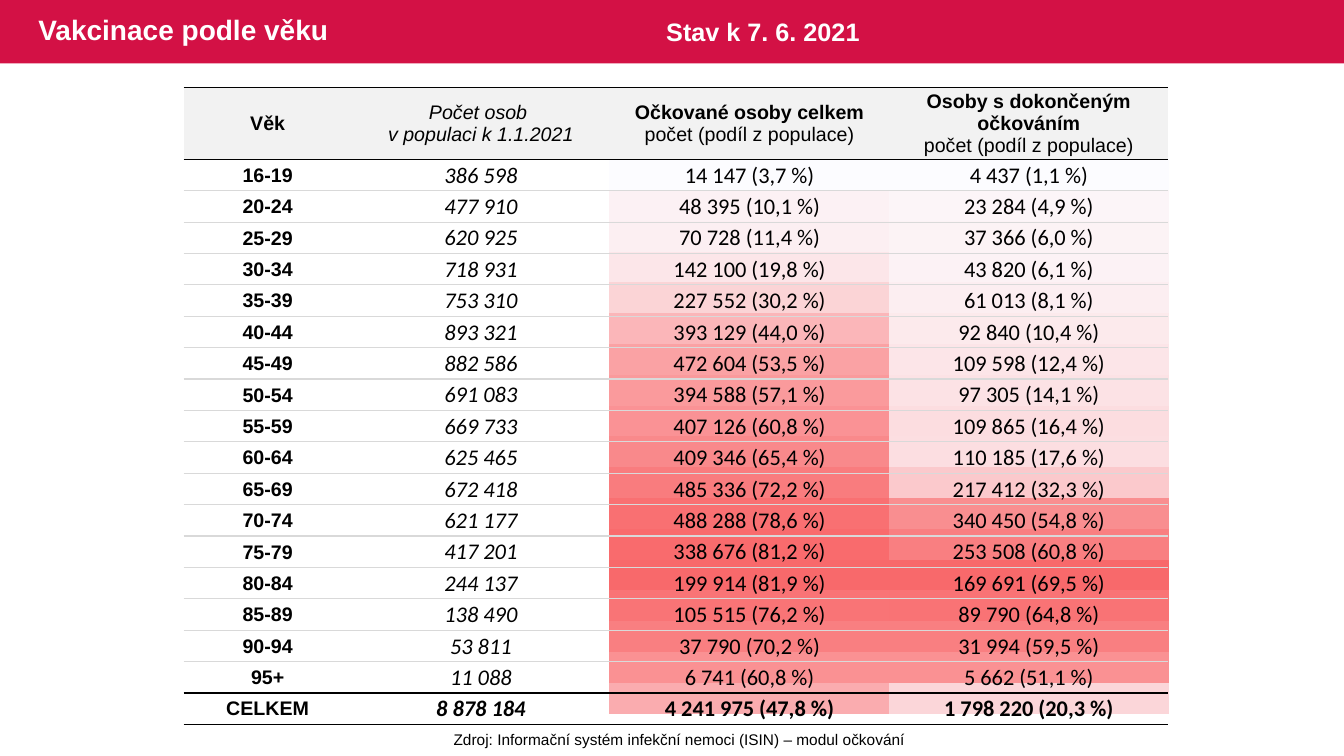
from dataclasses import dataclass

from lxml.etree import SubElement
from pptx import Presentation
from pptx.dml.color import RGBColor
from pptx.enum.shapes import MSO_SHAPE
from pptx.enum.text import MSO_ANCHOR, MSO_AUTO_SIZE, PP_ALIGN
from pptx.oxml.ns import qn
from pptx.util import Inches, Pt


@dataclass(frozen=True)
class Theme:
    band: str = "D31145"
    white: str = "FFFFFF"
    black: str = "000000"
    header: str = "F2F2F2"
    rule: str = "D9D9D9"
    heading_font: str = "Arial"
    number_font: str = "Calibri"
    title_size: int = 20
    date_size: int = 18
    number_size: int = 16
    label_size: int = 14
    source_size: int = 11


theme = Theme()


def style(paragraph, size, color, name=theme.heading_font, bold=False, italic=False):
    font = paragraph.font
    font.size = Pt(size)
    font.name = name
    font.bold = bold
    font.italic = italic
    font.color.rgb = RGBColor.from_string(color)


def format_cell(cell, fill=None, top=None, bottom=None):
    cell.vertical_anchor = MSO_ANCHOR.MIDDLE
    cell.margin_left = cell.margin_right = cell.margin_top = Inches(0.01)
    cell.margin_bottom = 0
    if fill:
        cell.fill.solid()
        cell.fill.fore_color.rgb = RGBColor.from_string(fill)
    else:
        cell.fill.background()
    properties = cell._tc.get_or_add_tcPr()
    borders = [("a:lnL", None), ("a:lnR", None), ("a:lnT", top), ("a:lnB", bottom)]
    for position, (tag, color) in enumerate(borders):
        line = SubElement(properties, qn(tag), w=str(Pt(1)))
        if color:
            line_fill = SubElement(line, qn("a:solidFill"))
            SubElement(line_fill, qn("a:srgbClr"), val=color)
        else:
            SubElement(line, qn("a:noFill"))
        properties.insert(position, line)


headers = [
    [("Věk", True, False)],
    [("Počet osob ", False, True), ("v populaci k 1.1.2021", False, True)],
    [("Očkované osoby celkem", True, False), ("počet (podíl z populace)", False, False)],
    [("Osoby s dokončeným očkováním", True, False), ("počet (podíl z populace)", False, False)],
]
age_groups = [
    ("16-19", "386 598", "14 147 (3,7 %)", "4 437 (1,1 %)", "FCFCFF", "FCFCFF"),
    ("20-24", "477 910", "48 395 (10,1 %)", "23 284 (4,9 %)", "FCF1F4", "FCF5F8"),
    ("25-29", "620 925", "70 728 (11,4 %)", "37 366 (6,0 %)", "FCEFF2", "FCF3F5"),
    ("30-34", "718 931", "142 100 (19,8 %)", "43 820 (6,1 %)", "FCE6E9", "FCF2F5"),
    ("35-39", "753 310", "227 552 (30,2 %)", "61 013 (8,1 %)", "FBD4D6", "FCEEF1"),
    ("40-44", "893 321", "393 129 (44,0 %)", "92 840 (10,4 %)", "FBB6B9", "FCEAEC"),
    ("45-49", "882 586", "472 604 (53,5 %)", "109 598 (12,4 %)", "FAA2A4", "FCE5E8"),
    ("50-54", "691 083", "394 588 (57,1 %)", "97 305 (14,1 %)", "FA9A9C", "FCE2E5"),
    ("55-59", "669 733", "407 126 (60,8 %)", "109 865 (16,4 %)", "FA9295", "FCDDE0"),
    ("60-64", "625 465", "409 346 (65,4 %)", "110 185 (17,6 %)", "F9898B", "FCDEE1"),
    ("65-69", "672 418", "485 336 (72,2 %)", "217 412 (32,3 %)", "F97C7E", "FBC9CC"),
    ("70-74", "621 177", "488 288 (78,6 %)", "340 450 (54,8 %)", "F97072", "F98E90"),
    ("75-79", "417 201", "338 676 (81,2 %)", "253 508 (60,8 %)", "F96B6D", "F97F81"),
    ("80-84", "244 137", "199 914 (81,9 %)", "169 691 (69,5 %)", "F8696B", "F8696B"),
    ("85-89", "138 490", "105 515 (76,2 %)", "89 790 (64,8 %)", "F97476", "F97375"),
    ("90-94", "53 811", "37 790 (70,2 %)", "31 994 (59,5 %)", "F97F81", "F97F81"),
    ("95+", "11 088", "6 741 (60,8 %)", "5 662 (51,1 %)", "FA9193", "FA9193"),
    ("CELKEM", "8 878 184", "4 241 975 (47,8 %)", "1 798 220 (20,3 %)", "FAACAF", "FBD6D9"),
]

presentation = Presentation()
presentation.slide_width = Inches(13.33)
presentation.slide_height = Inches(7.5)
slide = presentation.slides.add_slide(presentation.slide_layouts[5])

title = slide.shapes.title
title.left, title.top, title.width, title.height = Inches(0.28), 0, Inches(8.13), Inches(0.63)
title.text_frame.text = "Vakcinace podle věku"
title.text_frame.auto_size = MSO_AUTO_SIZE.NONE
title.text_frame.vertical_anchor = MSO_ANCHOR.MIDDLE
paragraph = title.text_frame.paragraphs[0]
paragraph.alignment = PP_ALIGN.LEFT
paragraph.line_spacing = 0.9
style(paragraph, theme.title_size, theme.white, bold=True)

band = slide.shapes.add_shape(MSO_SHAPE.RECTANGLE, 0, 0, presentation.slide_width, Inches(0.63))
band.shadow.inherit = False
band.fill.solid()
band.fill.fore_color.rgb = RGBColor.from_string(theme.band)
band.line.fill.background()
title.element.addprevious(band.element)

group_count = len(age_groups)
heat_frame = slide.shapes.add_table(
    group_count, 2, Inches(6.04), Inches(1.58), Inches(5.55), Inches(5.5)
)
title.element.addprevious(heat_frame.element)

date_box = slide.shapes.add_textbox(Inches(6.51), Inches(0.11), Inches(2.96), Inches(0.4))
date_box.text_frame.word_wrap = True
date_box.text_frame.text = "Stav k 7. 6. 2021"
style(date_box.text_frame.paragraphs[0], theme.date_size, theme.white, bold=True)

source_box = slide.shapes.add_textbox(Inches(4.39), Inches(7.19), Inches(4.7), Inches(0.29))
source_box.text_frame.word_wrap = False
source_box.text_frame.text = "Zdroj: Informační systém infekční nemoci (ISIN) – modul očkování"
paragraph = source_box.text_frame.paragraphs[0]
paragraph.alignment = PP_ALIGN.CENTER
style(paragraph, theme.source_size, theme.black)

age_frame = slide.shapes.add_table(
    group_count + 1, len(headers), Inches(1.82), Inches(0.87), Inches(9.77), Inches(6.21)
)
heat_table, age_table = heat_frame.table, age_frame.table
for table, row_height in ((heat_table, 5.5 / group_count), (age_table, 5.61 / group_count)):
    table.first_row = False
    table.horz_banding = False
    for row in table.rows:
        row.height = Inches(row_height)
age_table.rows[0].height = Inches(0.6)
for column, width in zip(age_table.columns, (1.67, 2.56, 2.77, 2.77)):
    column.width = Inches(width)

for row_index, group in enumerate(age_groups):
    for column_index, fill in enumerate(group[4:]):
        cell = heat_table.cell(row_index, column_index)
        format_cell(cell, fill)
        style(cell.text_frame.paragraphs[0], theme.number_size, theme.black, theme.number_font)

for row_index in range(group_count + 1):
    for column_index, header in enumerate(headers):
        cell = age_table.cell(row_index, column_index)
        size, name = theme.label_size, theme.heading_font
        if row_index == 0:
            lines = header
        else:
            bold = column_index == 0 or row_index == group_count
            lines = [(age_groups[row_index - 1][column_index], bold, column_index == 1)]
            if column_index > 0:
                size, name = theme.number_size, theme.number_font
        cell.text = "\n".join(text for text, bold, italic in lines)
        for paragraph, (text, bold, italic) in zip(cell.text_frame.paragraphs, lines):
            paragraph.alignment = PP_ALIGN.CENTER
            style(paragraph, size, theme.black, name, bold, italic)
        top = theme.black if row_index in (0, 1, group_count) else theme.rule
        bottom = theme.black if row_index in (0, group_count - 1, group_count) else theme.rule
        format_cell(cell, theme.header if row_index == 0 else None, top, bottom)

presentation.save("out.pptx")
